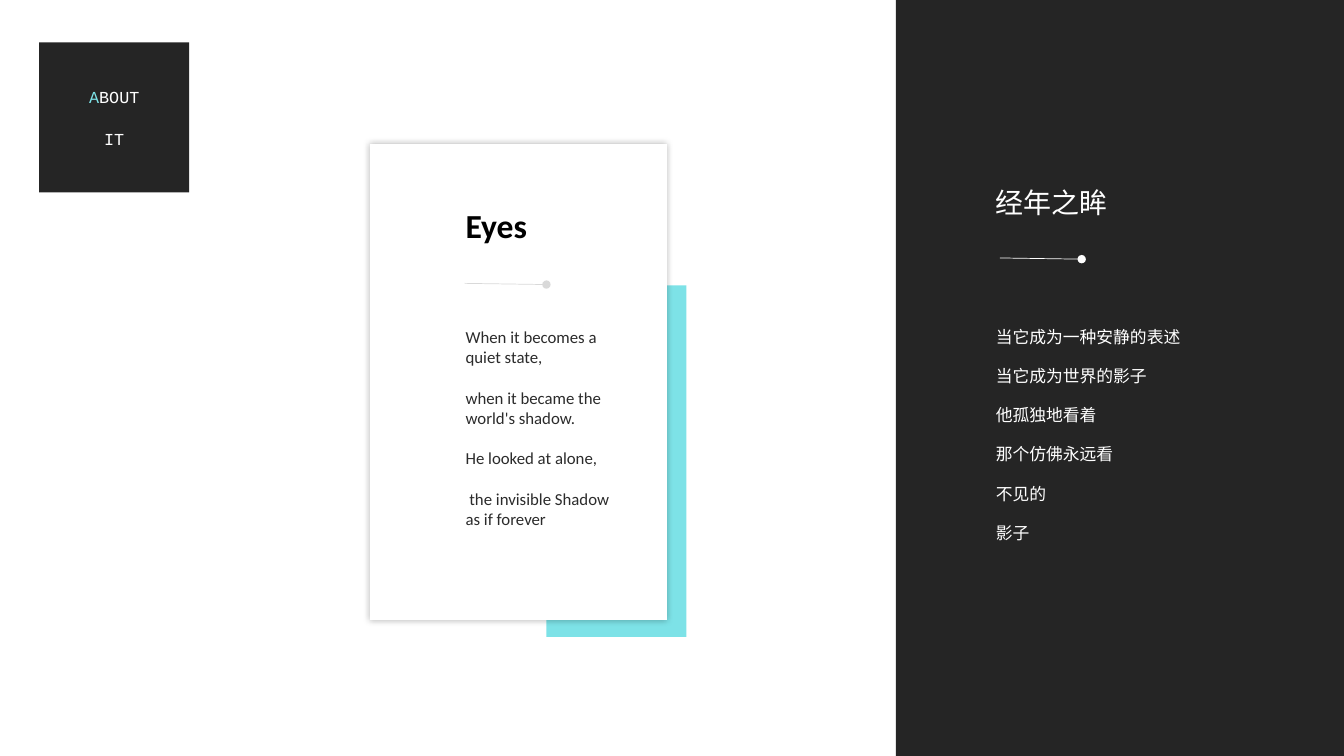
from lxml.etree import SubElement
from pptx import Presentation
from pptx.dml.color import RGBColor
from pptx.enum.shapes import MSO_CONNECTOR as LINE, MSO_SHAPE as SHAPE
from pptx.enum.text import MSO_ANCHOR as ANCHOR, MSO_AUTO_SIZE as FIT, PP_ALIGN as ALIGN
from pptx.oxml.ns import qn
from pptx.util import Cm, Pt

WHITE = RGBColor(0xFF, 0xFF, 0xFF)
BLACK = RGBColor(0, 0, 0)
DARK = RGBColor(0x25, 0x25, 0x25)
INK = RGBColor(0x2B, 0x2B, 0x2B)
GREY = RGBColor(0xD9, 0xD9, 0xD9)
AQUA = RGBColor(0x7D, 0xE2, 0xE7)
SANS, MONO = "Calibri", "Courier New"

# Each paragraph is a list of (text, colour) runs.
BADGE = [[("A", AQUA), ("BOUT", WHITE)], [("IT", WHITE)]]
ENGLISH_TITLE = [[("Eyes", BLACK)]]
CHINESE_TITLE = [[("经年之眸", WHITE)]]
ENGLISH_VERSE = [[(line, INK)] for line in (
    "When it becomes a quiet state,",
    "when it became the world's shadow.",
    "He looked at alone,",
    " the invisible Shadow as if forever",
)]
CHINESE_VERSE = [[(line, WHITE)] for line in (
    "当它成为一种安静的表述",
    "当它成为世界的影子",
    "他孤独地看着",
    "那个仿佛永远看",
    "不见的",
    "影子",
)]

# Left, top, width, height in centimetres
ACCENT_BOX = (13.77, 7.19, 3.53, 8.86)
CARD_BOX = (9.32, 3.63, 7.49, 11.99)
PANEL_BOX = (22.58, 0, 11.29, 19.05)
BADGE_BOX = (0.99, 1.07, 3.78, 3.78)
BADGE_TEXT_BOX = (0.81, 2.06, 4.14, 1.8)
ENGLISH_LEFT, CHINESE_LEFT, VERSE_TOP = 11.48, 24.84, 8.1
RULE_LENGTH, RULE_DROP = 2.06, 0.03


def cm(box):
    return [Cm(value) for value in box]


def add_block(shapes, box, colour):
    block = shapes.add_shape(SHAPE.RECTANGLE, *cm(box))
    block.shadow.inherit = False
    block.fill.solid()
    block.fill.fore_color.rgb = colour
    block.line.fill.background()
    return block


def add_soft_shadow(block):
    effects = block._element.spPr.find(qn("a:effectLst"))
    shadow = SubElement(effects, qn("a:outerShdw"), blurRad=str(Pt(5)), dist="0",
                        dir="0", algn="ctr", rotWithShape="0")
    tint = SubElement(shadow, qn("a:srgbClr"), val=str(BLACK))
    SubElement(tint, qn("a:alpha"), val="30000")


def add_rule(shapes, left, top, colour):
    """Draw a thin line that ends in a dot."""
    rule = shapes.add_connector(LINE.STRAIGHT, *cm(
        (left, top, left + RULE_LENGTH, top + RULE_DROP)))
    rule.line.color.rgb = colour
    rule.line.width = Pt(0.5)
    SubElement(rule.line._get_or_add_ln(), qn("a:tailEnd"), type="oval")
    SubElement(rule._element.spPr, qn("a:effectLst"))


def write(holder, box, paragraphs, font=SANS, size=12, bold=False,
          align=ALIGN.LEFT, gap=0, wrap=True):
    holder.left, holder.top, holder.width, holder.height = cm(box)
    frame = holder.text_frame
    frame.word_wrap = wrap
    frame.auto_size = FIT.NONE
    frame.vertical_anchor = ANCHOR.TOP
    for index, runs in enumerate(paragraphs):
        paragraph = frame.paragraphs[0] if index == 0 else frame.add_paragraph()
        paragraph.alignment = align
        paragraph.space_before = Pt(gap if index else 0)
        properties = paragraph._p.get_or_add_pPr()
        properties.set("marL", "0")
        properties.set("indent", "0")
        SubElement(properties, qn("a:buNone"))
        for text, colour in runs:
            run = paragraph.add_run()
            run.text = text
            run.font.name = font
            run.font.size = Pt(size)
            run.font.bold = bold
            run.font.color.rgb = colour


def main():
    deck = Presentation()
    deck.slide_width, deck.slide_height = Cm(33.87), Cm(19.05)
    slide = deck.slides.add_slide(deck.slide_layouts[3])
    shapes = slide.shapes
    title, english, chinese = slide.placeholders

    add_block(shapes, ACCENT_BOX, AQUA)
    add_soft_shadow(add_block(shapes, CARD_BOX, WHITE))
    add_block(shapes, PANEL_BOX, DARK)

    # Bring the placeholders in front of the card and the panel
    for holder in (chinese, title, english):
        shapes._spTree.append(holder._element)

    write(chinese, (CHINESE_LEFT, VERSE_TOP, 9.86, 5.89), CHINESE_VERSE,
          font=MONO, gap=13.6)
    chinese_title = shapes.add_textbox(0, 0, 0, 0)
    write(chinese_title, (CHINESE_LEFT, 4.55, 3.35, 1.12), CHINESE_TITLE,
          font=MONO, size=20, wrap=False)
    add_rule(shapes, 25.2, 6.5, WHITE)

    write(title, (ENGLISH_LEFT, 5.03, 2.84, 1.27), ENGLISH_TITLE, size=24, bold=True)
    write(english, (ENGLISH_LEFT, VERSE_TOP, 4.29, 5.38), ENGLISH_VERSE, gap=14.6)
    add_rule(shapes, 11.71, 7.14, GREY)

    badge = shapes.add_group_shape().shapes
    add_block(badge, BADGE_BOX, DARK)
    write(badge.add_textbox(0, 0, 0, 0), BADGE_TEXT_BOX, BADGE,
          font=MONO, align=ALIGN.CENTER, gap=15.6)

    deck.save("out.pptx")


if __name__ == "__main__":
    main()
